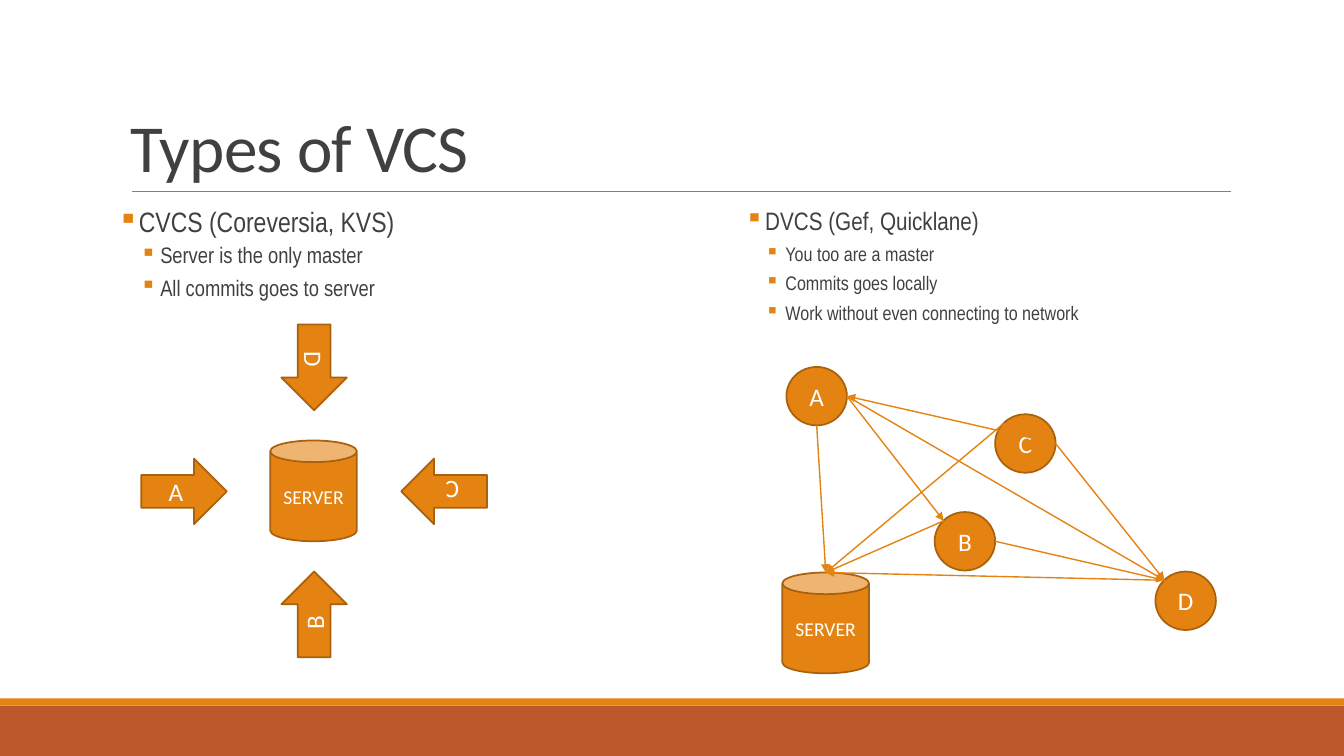
import lxml.etree
import pptx
import pptx.dml.color
import pptx.enum.shapes
import pptx.enum.text
import pptx.oxml.ns
import pptx.util

Inches, Pt = pptx.util.Inches, pptx.util.Pt
SHAPE = pptx.enum.shapes.MSO_SHAPE
ANCHOR = pptx.enum.text.MSO_ANCHOR
CENTER = pptx.enum.text.PP_ALIGN.CENTER
qn = pptx.oxml.ns.qn

COLORS = {"orange": "E48312", "outline": "A9610D", "rust": "BD582C",
          "rule": "808080", "ink": "404040", "white": "FFFFFF"}


def color(name):
    return pptx.dml.color.RGBColor.from_string(COLORS[name])


def assign(target, values):
    for name, value in values.items():
        setattr(target, name, value)


class VcsSlide:
    """Draws the elements of one slide in a shared style."""

    title_font, body_font = "Calibri", "Arial Narrow"

    def __init__(self, deck):
        self.shapes = deck.slides.add_slide(deck.slide_layouts[6]).shapes

    def label(self, paragraph, text, size, font, ink):
        run = paragraph.add_run()
        run.text = text
        assign(run.font, {"size": Pt(size), "name": font})
        run.font.color.rgb = color(ink)
        return run

    def box(self, left, top, width, height, frame_format):
        frame = self.shapes.add_textbox(*map(Inches, (left, top, width, height))).text_frame
        assign(frame, {"word_wrap": True, **frame_format})
        return frame

    def title(self, text):
        frame = self.box(1.2, 0.31, 11, 1.59, {"vertical_anchor": ANCHOR.BOTTOM})
        heading = frame.paragraphs[0]
        heading.line_spacing = 0.85
        run = self.label(heading, text, 48, self.title_font, "ink")
        run.font._element.set("spc", "-50")

    def bullets(self, left, items):
        frame = self.box(left, 2.02, 5, 4.4, {"margin_left": 0, "margin_right": 0})
        for number, (text, size, margin, hanging, before, after) in enumerate(items):
            item = frame.add_paragraph() if number else frame.paragraphs[0]
            assign(item, {"line_spacing": 0.9, "space_before": Pt(before),
                          "space_after": Pt(after)})
            properties = item._p.get_or_add_pPr()
            properties.set("marL", str(Inches(margin)))
            properties.set("indent", str(-Inches(hanging)))
            tint = lxml.etree.SubElement(properties, qn("a:buClr"))
            lxml.etree.SubElement(tint, qn("a:srgbClr"), val=COLORS["orange"])
            lxml.etree.SubElement(properties, qn("a:buChar"), char="▪")
            self.label(item, text, size, self.body_font, "ink")

    def shape(self, kind, left, top, width, height, fill):
        shape = self.shapes.add_shape(kind, *map(Inches, (left, top, width, height)))
        shape.shadow.inherit = False
        shape.fill.solid()
        shape.fill.fore_color.rgb = color(fill)
        return shape

    def band(self, top, height, fill):
        self.shape(SHAPE.RECTANGLE, 0, top, 13.33, height, fill).line.fill.background()

    def node(self, kind, left, top, width, height, name, size=18, rotation=0):
        node = self.shape(kind, left, top, width, height, "orange")
        node.rotation = rotation
        node.line.color.rgb = color("outline")
        node.line.width = Pt(1.25)
        node.text_frame.vertical_anchor = ANCHOR.MIDDLE
        paragraph = node.text_frame.paragraphs[0]
        paragraph.alignment = CENTER
        self.label(paragraph, name, size, self.title_font, "white")

    def server(self, left, top):
        self.node(SHAPE.CAN, left, top, 0.86, 1, "SERVER", 14)

    def line(self, start, end, ink, width, arrow=False):
        line = self.shapes.add_connector(pptx.enum.shapes.MSO_CONNECTOR.STRAIGHT,
                                         *map(Inches, (*start, *end)))
        line.line.color.rgb = color(ink)
        line.line.width = Pt(width)
        properties = line._element.spPr
        if arrow:
            lxml.etree.SubElement(properties.find(qn("a:ln")), qn("a:tailEnd"), type="triangle")
        lxml.etree.SubElement(properties, qn("a:effectLst"))


def main():
    deck = pptx.Presentation()
    assign(deck, {"slide_width": Inches(13.33), "slide_height": Inches(7.5)})
    slide = VcsSlide(deck)

    slide.band(7, 0.5, "rust")
    slide.band(6.93, 0.07, "orange")
    slide.line((1.31, 1.9), (12.21, 1.9), "rule", 0.5)
    slide.title("Types of VCS")

    slide.bullets(1.17, [
        ("CVCS (Coreversia, KVS)", 20, 0.1, 0.1, 12, 2),
        ("Server is the only master", 16, 0.42, 0.2, 2, 4),
        ("All commits goes to server", 16, 0.42, 0.2, 2, 4)])
    slide.bullets(7.17, [
        ("DVCS (Gef, Quicklane)", 18, 0.42, 0.2, 2, 4),
        ("You too are a master", 14, 0.62, 0.2, 2, 4),
        ("Commits goes locally", 14, 0.62, 0.2, 2, 4),
        ("Work without even connecting to network", 14, 0.62, 0.2, 2, 4)])

    slide.server(2.68, 4.37)
    for client, left, top, rotation in [("A", 1.4, 4.55, 0), ("B", 2.69, 5.77, 270),
                                        ("C", 3.98, 4.55, 180), ("D", 2.69, 3.32, 90)]:
        slide.node(SHAPE.RIGHT_ARROW, left, top, 0.85, 0.65, client, rotation=rotation)

    slide.server(7.76, 5.68)
    width, height = 0.6, 0.58
    points = {"server": (8.19, 5.68)}
    for peer, left, top in [("A", 7.8, 3.64), ("C", 9.87, 4.11),
                            ("B", 9.27, 5.08), ("D", 11.46, 5.67)]:
        slide.node(SHAPE.OVAL, left, top, width, height, peer)
        points[peer + " right"] = (left + width, top + height / 2)
        points[peer + " bottom"] = (left + width / 2, top + height)
        points[peer + " corner"] = (left + 0.15 * width, top + 0.15 * height)

    for start, end in [("A bottom", "server"), ("A right", "B corner"),
                       ("A right", "D corner"), ("C right", "A right"),
                       ("B corner", "server"), ("C corner", "server"),
                       ("D corner", "server"), ("C right", "D corner"),
                       ("B right", "D corner")]:
        slide.line(points[start], points[end], "orange", 1, arrow=True)

    deck.save("out.pptx")


if __name__ == "__main__":
    main()
